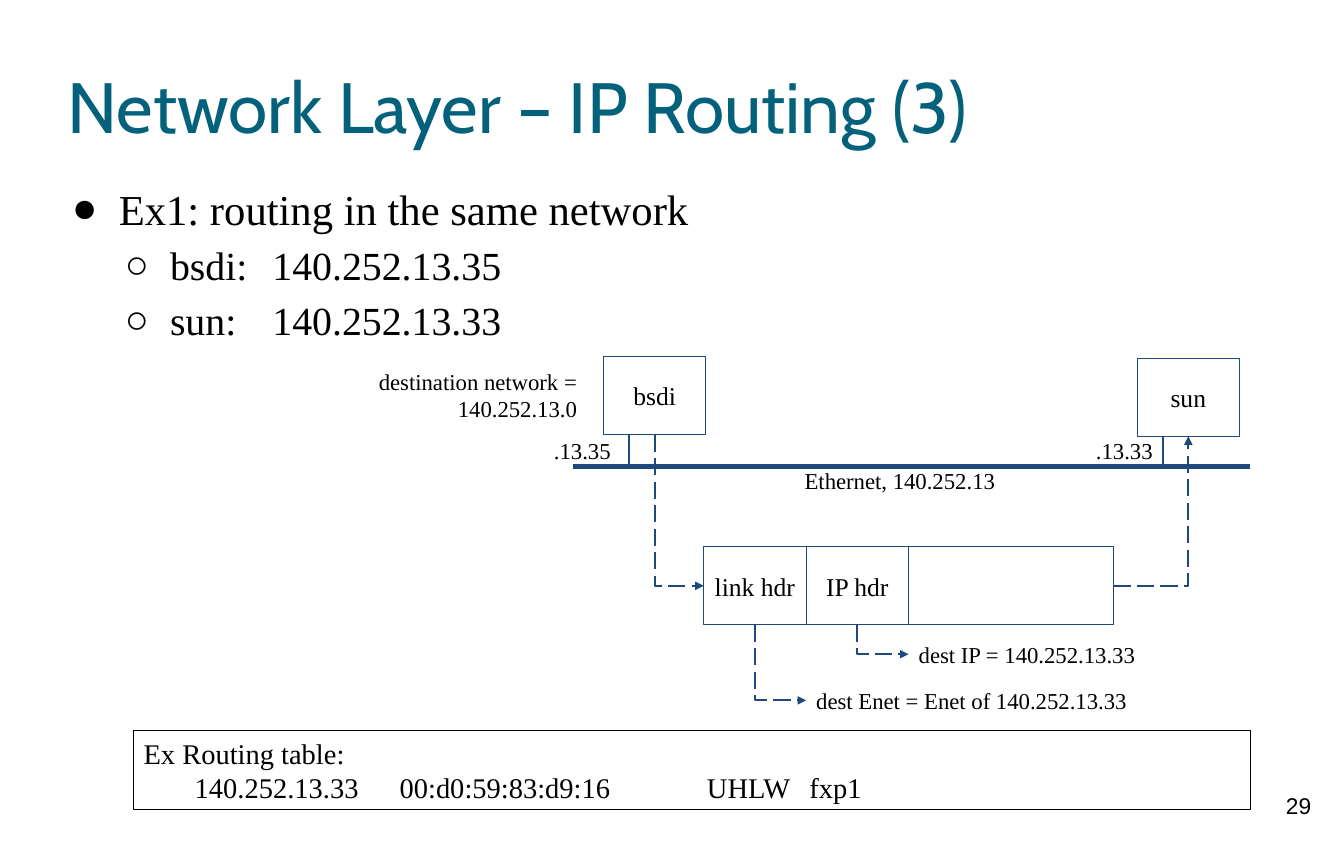
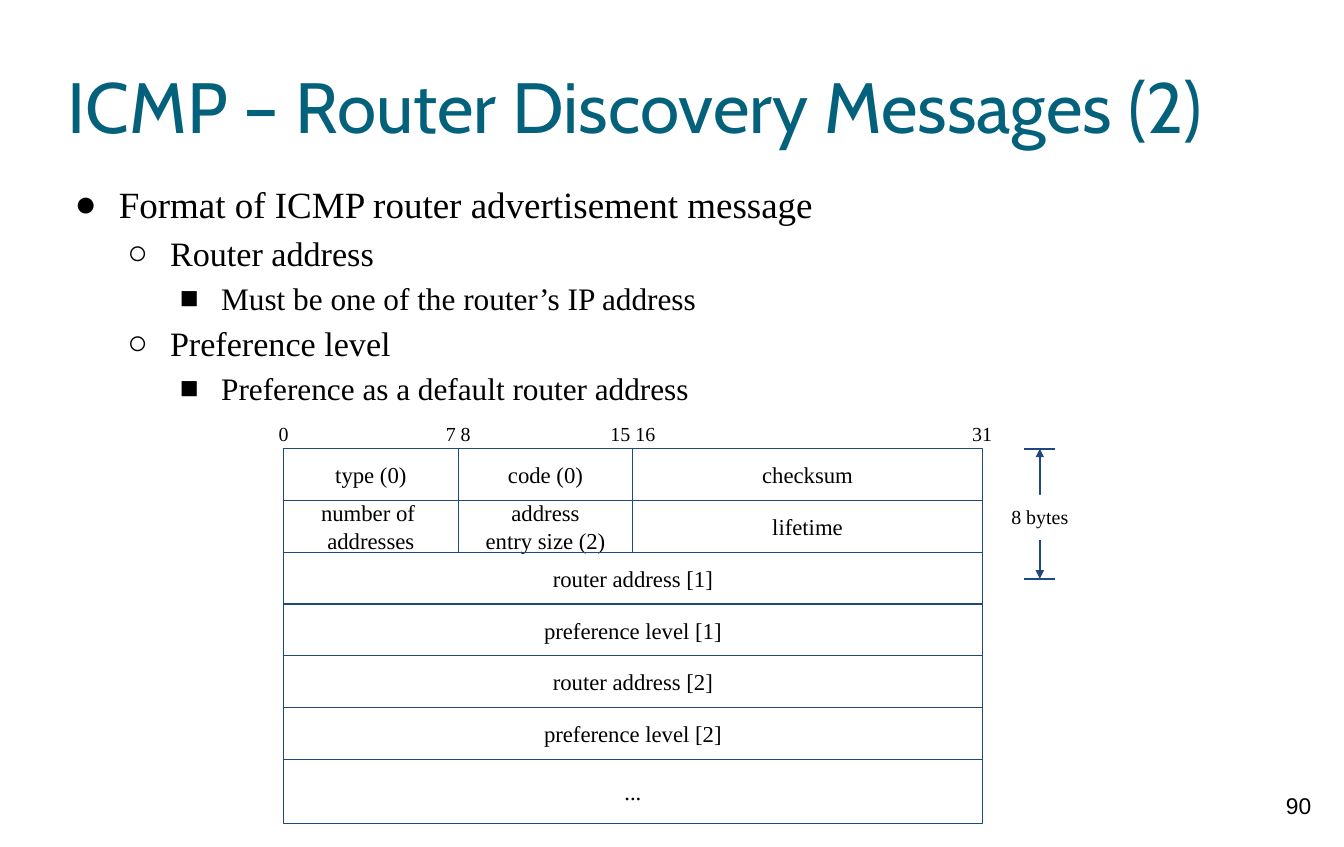
from dataclasses import dataclass
from itertools import accumulate
from typing import Optional

from lxml.etree import SubElement
from pptx import Presentation
from pptx.dml.color import RGBColor
from pptx.enum.dml import MSO_LINE
from pptx.enum.shapes import MSO_CONNECTOR, MSO_SHAPE
from pptx.enum.text import MSO_ANCHOR, PP_ALIGN
from pptx.oxml.ns import qn
from pptx.shapes.autoshape import Shape
from pptx.shapes.connector import Connector
from pptx.slide import Slide
from pptx.util import Pt


@dataclass(frozen=True)
class Theme:
    title_color: str = "04617B"
    text_color: str = "000000"
    line_color: str = "1F497D"
    background: str = "FFFFFF"
    title_font: str = "Cabin"
    body_font: str = "Times New Roman"
    number_font: str = "Arial"
    title_size: int = 50
    table_size: int = 20
    box_size: int = 18
    label_size: int = 16
    bit_size: int = 14
    thin: float = 0.75
    medium: float = 1.5
    thick: float = 3
    inset: float = 7.2


THEME = Theme()
LEFT, CENTER, RIGHT = PP_ALIGN.LEFT, PP_ALIGN.CENTER, PP_ALIGN.RIGHT


@dataclass(frozen=True)
class Area:
    left: float
    top: float
    width: float
    height: float


@dataclass(frozen=True)
class Style:
    size: float = THEME.label_size
    font: str = THEME.body_font
    color: str = THEME.text_color
    align: PP_ALIGN = LEFT
    anchor: MSO_ANCHOR = MSO_ANCHOR.TOP
    inset_x: float = THEME.inset
    inset_y: float = THEME.inset


@dataclass(frozen=True)
class Label:
    text: str
    area: Area
    align: PP_ALIGN = LEFT


@dataclass(frozen=True)
class Bullet:
    text: str
    level: int
    size: float
    hanging: float


BOX_STYLE = Style(THEME.box_size, align=CENTER, anchor=MSO_ANCHOR.MIDDLE)
FIELD_STYLE = Style(align=CENTER, anchor=MSO_ANCHOR.MIDDLE)
BIT_STYLE = Style(THEME.bit_size, align=CENTER)
TITLE_STYLE = Style(THEME.title_size, THEME.title_font, THEME.title_color,
                    anchor=MSO_ANCHOR.MIDDLE, inset_x=0, inset_y=0)
BODY_STYLE = Style(inset_x=0, inset_y=0)
NUMBER_STYLE = Style(font=THEME.number_font, align=CENTER)
TABLE_STYLE = Style(THEME.table_size, inset_y=3.6)


# Text and shapes
def write(shape: Shape, text: str, style: Style) -> None:
    frame = shape.text_frame
    frame.word_wrap = True
    frame.vertical_anchor = style.anchor
    frame.margin_left = frame.margin_right = Pt(style.inset_x)
    frame.margin_top = frame.margin_bottom = Pt(style.inset_y)
    frame.text = text
    for paragraph in frame.paragraphs:
        paragraph.alignment = style.align
        for run in paragraph.runs:
            run.font.size = Pt(style.size)
            run.font.name = style.font
            run.font.color.rgb = RGBColor.from_string(style.color)


def add_text(slide: Slide, text: str, area: Area, style: Style) -> Shape:
    shape = slide.shapes.add_textbox(Pt(area.left), Pt(area.top), Pt(area.width), Pt(area.height))
    write(shape, text, style)
    return shape


def add_box(slide: Slide, text: str, area: Area, style: Style,
            line: Optional[str] = THEME.line_color, fill: Optional[str] = None) -> Shape:
    shape = slide.shapes.add_shape(MSO_SHAPE.RECTANGLE, Pt(area.left), Pt(area.top),
                                   Pt(area.width), Pt(area.height))
    shape.shadow.inherit = False
    if fill:
        shape.fill.solid()
        shape.fill.fore_color.rgb = RGBColor.from_string(fill)
    else:
        shape.fill.background()
    if line:
        shape.line.color.rgb = RGBColor.from_string(line)
        shape.line.width = Pt(THEME.thin)
    else:
        shape.line.fill.background()
    write(shape, text, style)
    return shape


# Lines and arrows
def style_line(connector: Connector, width: float, *arrowheads: str) -> None:
    connector.line.color.rgb = RGBColor.from_string(THEME.line_color)
    connector.line.width = Pt(width)
    properties = connector._element.spPr
    for end in arrowheads:
        SubElement(properties.find(qn("a:ln")), qn(f"a:{end}"), type="triangle")
    SubElement(properties, qn("a:effectLst"))


def add_line(slide: Slide, start: tuple[float, float], end: tuple[float, float],
             width: float = THEME.medium, *arrowheads: str) -> None:
    connector = slide.shapes.add_connector(MSO_CONNECTOR.STRAIGHT, *map(Pt, start + end))
    style_line(connector, width, *arrowheads)


def add_elbow(slide: Slide, source: Shape, source_side: int,
              target: Shape, target_side: int) -> None:
    """Draw a dashed arrow with one corner between two shapes."""
    connector = slide.shapes.add_connector(MSO_CONNECTOR.ELBOW, 0, 0, 0, 0)
    connector.begin_connect(source, source_side)
    connector.end_connect(target, target_side)
    properties = connector._element.spPr
    properties.find(qn("a:prstGeom")).set("prst", "bentConnector2")
    if source_side == 2:  # down first, then right
        width, height = connector.width, connector.height
        connector.left += (width - height) // 2
        connector.top += (height - width) // 2
        connector.width, connector.height = height, width
        connector.rotation = 270
        properties.find(qn("a:xfrm")).set("flipH", "1")
    connector.line.dash_style = MSO_LINE.LONG_DASH
    style_line(connector, THEME.medium, "tailEnd")


# Parts shared by the slides
def add_bullets(slide: Slide, bullets: list[Bullet], height: float) -> None:
    shape = add_text(slide, "\n".join(bullet.text for bullet in bullets),
                     Area(47.5, 123.1, 852.5, height), BODY_STYLE)
    for paragraph, bullet in zip(shape.text_frame.paragraphs, bullets):
        properties = paragraph._p.get_or_add_pPr()
        properties.set("marL", str(Pt(36 * (bullet.level + 1))))
        properties.set("indent", str(-Pt(bullet.hanging)))
        color = SubElement(properties, qn("a:buClr"))
        SubElement(color, qn("a:srgbClr"), val=THEME.text_color)
        SubElement(properties, qn("a:buFont"), typeface=THEME.body_font)
        SubElement(properties, qn("a:buChar"), char="●○■"[bullet.level])
        paragraph.level = bullet.level
        paragraph.line_spacing = 1.15
        for run in paragraph.runs:
            run.font.size = Pt(bullet.size)


def add_page(presentation: Presentation, title: str, number: int) -> Slide:
    slide = presentation.slides.add_slide(presentation.slide_layouts[6])
    slide.background.fill.solid()
    slide.background.fill.fore_color.rgb = RGBColor.from_string(THEME.background)
    add_text(slide, str(number), Area(884.2, 549.4, 56.9, 45.4), NUMBER_STYLE)
    add_text(slide, title, Area(47.5, 23.8, 850.3, 99.4), TITLE_STYLE)
    return slide


def build_routing(presentation: Presentation) -> None:
    slide = add_page(presentation, "Network Layer – IP Routing (3)", 29)
    add_bullets(slide, [
        Bullet("Ex1: routing in the same network", 0, 30, 33),
        Bullet("bsdi:\t140.252.13.35", 1, 28, 31.7),
        Bullet("sun:\t140.252.13.33", 1, 28, 31.7),
    ], 445.7)
    add_box(slide, "Ex Routing table:\n\t140.252.13.33\t00:d0:59:83:d9:16\t\tUHLW\tfxp1",
            Area(93.8, 513.5, 784.8, 55.6), TABLE_STYLE, line=THEME.text_color)

    # Hosts on the Ethernet
    ethernet_y, side, height = 328, 72, 54.7
    bsdi = add_box(slide, "bsdi", Area(424.2, 250.8, side, height), BOX_STYLE)
    sun = add_box(slide, "sun", Area(799.2, 252, side, height), BOX_STYLE)
    add_line(slide, (402.7, ethernet_y), (878.6, ethernet_y), THEME.thick)
    for host in (bsdi, sun):
        stub_x = host.left.pt + side / 4
        add_line(slide, (stub_x, ethernet_y), (stub_x, host.top.pt + height))

    # Packet
    packet_left, packet_top = 494.6, 384.5
    link, ip, payload = (
        add_box(slide, text, Area(packet_left + column * side, packet_top, width, height), BOX_STYLE)
        for column, (text, width) in enumerate(
            [("link hdr", side), ("IP hdr", side), ("", 2 * side)]))

    # Labels
    label_height = 33.6
    labels = [
        Label("destination network = 140.252.13.0", Area(255.6, 251.3, 157, 53.3), RIGHT),
        Label(".13.35", Area(379.4, 299.7, 56.9, label_height), RIGHT),
        Label(".13.33", Area(760.3, 299.7, 56.9, label_height), RIGHT),
        Label("Ethernet, 140.252.13", Area(549.4, 320.7, 157, label_height), RIGHT),
        Label("dest IP = 140.252.13.33", Area(638.6, 443.1, 171.4, label_height)),
        Label("dest Enet = Enet of 140.252.13.33", Area(566.6, 475.5, 286.6, label_height)),
    ]
    *_, ip_label, link_label = [
        add_text(slide, label.text, label.area, Style(align=label.align)) for label in labels]

    # Path of the packet
    for source, source_side, target, target_side in [
            (bsdi, 2, link, 1), (payload, 3, sun, 2),
            (ip, 2, ip_label, 1), (link, 2, link_label, 1)]:
        add_elbow(slide, source, source_side, target, target_side)


def build_advertisement(presentation: Presentation) -> None:
    slide = add_page(presentation, "ICMP – Router Discovery Messages (2)", 90)
    add_bullets(slide, [
        Bullet("Format of ICMP router advertisement message", 0, 26, 31),
        Bullet("Router address", 1, 24, 30),
        Bullet("Must be one of the router’s IP address", 2, 22, 29),
        Bullet("Preference level", 1, 24, 30),
        Bullet("Preference as a default router address", 2, 22, 29),
    ], 160.6)

    # Message fields: text and width in bytes
    left, top, byte, row_height, last_height = 199.3, 315.4, 122.75, 36.4, 45.4
    rows = [
        [("type (0)", 1), ("code (0)", 1), ("checksum", 2)],
        [("number of \vaddresses", 1), ("address\ventry size (2)", 1), ("lifetime", 2)],
        *([(text, 4)] for text in ("router address [1]", "preference level [1]",
                                   "router address [2]", "preference level [2]", "...")),
    ]
    for index, row in enumerate(rows):
        height = last_height if index == len(rows) - 1 else row_height
        starts = accumulate((size for _, size in row), initial=0)
        for start, (text, size) in zip(starts, row):
            add_box(slide, text, Area(left + start * byte, top + index * row_height,
                                      size * byte, height), FIELD_STYLE)

    # Bit numbers
    bit_width = 48
    for text, position in [("0", 0), ("7 8", 1), ("15 16", 2), ("31", 4)]:
        add_text(slide, text, Area(left + position * byte - bit_width / 2, 289.4, bit_width, 31.7),
                 BIT_STYLE)

    # Size marker
    marker_x, marker_bottom, tick = 730.8, 406.8, 10.8
    for y in (top, marker_bottom):
        add_line(slide, (marker_x - tick, y), (marker_x + tick, y))
    add_line(slide, (marker_x, top), (marker_x, marker_bottom), THEME.medium, "headEnd", "tailEnd")
    add_box(slide, "8 bytes", Area(699.1, 347.8, 63.4, 31.7), BIT_STYLE,
            line=None, fill=THEME.background)


def main() -> None:
    presentation = Presentation()
    presentation.slide_width, presentation.slide_height = Pt(944.6), Pt(595.4)
    build_routing(presentation)
    build_advertisement(presentation)
    presentation.save("out.pptx")


if __name__ == "__main__":
    main()
